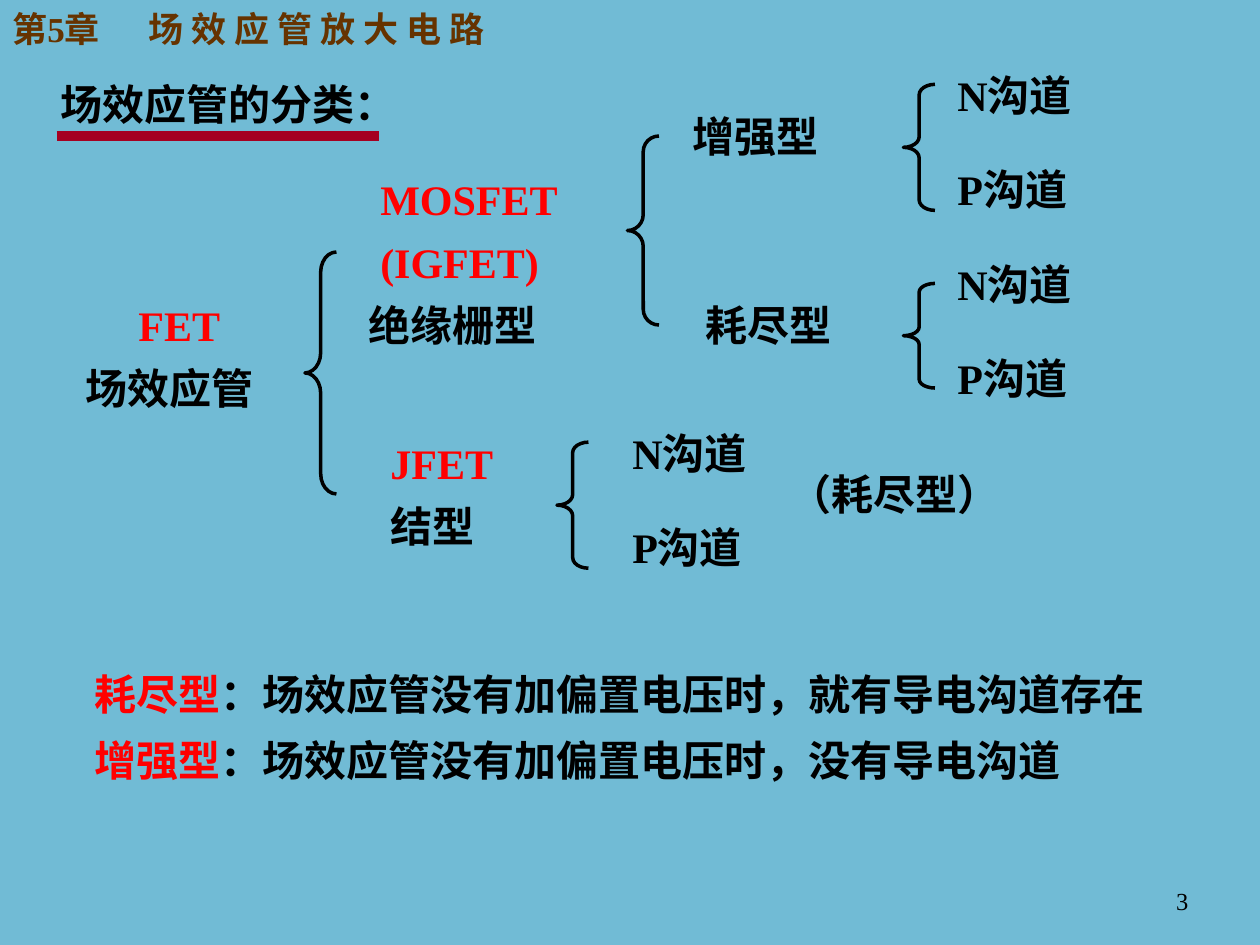
import pptx
import pptx.dml.color
import pptx.enum.shapes
import pptx.enum.text
import pptx.oxml.ns
import pptx.util
from lxml import etree

Inches = pptx.util.Inches
Pt = pptx.util.Pt
RGBColor = pptx.dml.color.RGBColor
qn = pptx.oxml.ns.qn

COLORS = {
    "background": "71BBD5",
    "black": "000000",
    "red": "FF0000",
    "brown": "663300",
    "underline": "A50021",
}
LABEL_FONT = {"name": "Times New Roman", "size": Pt(24), "bold": True}


def add_text(left, top, width, height, runs, line_spacing=1.2, **font_changes):
    """Add a one-paragraph text box; runs is a list of (text, colour name)."""
    shape = slide.shapes.add_textbox(Inches(left), Inches(top), Inches(width), Inches(height))
    shape.text_frame.word_wrap = True
    paragraph = shape.text_frame.paragraphs[0]
    paragraph.line_spacing = line_spacing
    for text, color in runs:
        run = paragraph.add_run()
        run.text = text
        for attribute, value in {**LABEL_FONT, **font_changes}.items():
            setattr(run.font, attribute, value)
        run.font.color.rgb = RGBColor.from_string(COLORS[color])
    return shape


presentation = pptx.Presentation()
presentation.slide_width = Inches(10)
presentation.slide_height = Inches(7.5)
slide = presentation.slides.add_slide(presentation.slide_layouts[6])
slide.background.fill.solid()
slide.background.fill.fore_color.rgb = RGBColor.from_string(COLORS["background"])

# Chapter title, with a tab between the number and the name
chapter = add_text(0, 0, 6.43, 0.44, [("第5章\t场 效 应 管 放 大 电 路", "brown")],
                   line_spacing=1.0, size=Pt(20))
chapter.text_frame.vertical_anchor = pptx.enum.text.MSO_ANCHOR.BOTTOM
properties = chapter.text_frame.paragraphs[0]._p.get_or_add_pPr()
tab_list = etree.SubElement(properties, qn("a:tabLst"))
etree.SubElement(tab_list, qn("a:tab"), pos=str(Inches(1.08)), algn="l")

# Heading and its underline
add_text(0.38, 0.49, 5.92, 0.58, [("场效应管的分类：", "black")])
underline = slide.shapes.add_connector(
    pptx.enum.shapes.MSO_CONNECTOR.STRAIGHT,
    Inches(0.45), Inches(1.08), Inches(3.01), Inches(1.08))
underline.line.width = Pt(6)
underline.line.color.rgb = RGBColor.from_string(COLORS["underline"])
etree.SubElement(underline._element.spPr, qn("a:effectLst"))

# Transistor types
for left, top, width, text, color in [
    (1, 2.25, 1.42, "FET", "red"),
    (0.58, 2.75, 1.92, "场效应管", "black"),
    (2.92, 1.25, 2.08, "MOSFET", "red"),
    (2.92, 1.75, 2, "(IGFET)", "red"),
    (2.83, 2.25, 2, "绝缘栅型", "black"),
    (3, 3.34, 1.42, "JFET", "red"),
    (3, 3.84, 1.42, "结型", "black"),
    (5.4, 0.75, 1.42, "增强型", "black"),
    (5.5, 2.25, 1.42, "耗尽型", "black"),
    (6.17, 3.59, 2.17, "（耗尽型）", "black"),
]:
    add_text(left, top, width, 0.58, [(text, color)])

# N and P channel pairs
for left, top in [(7.5, 0.42), (7.5, 1.92), (4.92, 3.26)]:
    for index, text in enumerate(["N沟道", "P沟道"]):
        add_text(left, top + index * 0.75, 1.42, 0.58, [(text, "black")])

# Braces: each curve takes a twelfth of the height
brace_width = 0.25
for left, top, height in [
    (2.42, 2, 1.92),
    (4.98, 1.08, 1.5),
    (7.17, 0.67, 1),
    (7.17, 2.25, 0.83),
    (4.42, 3.51, 1),
]:
    brace = slide.shapes.add_shape(
        pptx.enum.shapes.MSO_SHAPE.LEFT_BRACE,
        Inches(left), Inches(top), Inches(brace_width), Inches(height))
    brace.adjustments[0] = height / 12 / brace_width
    brace.shadow.inherit = False
    brace.fill.background()
    brace.line.width = Pt(2)
    brace.line.color.rgb = RGBColor.from_string(COLORS["black"])

# Definitions
for top, width, term, meaning in [
    (5.26, 8.6, "耗尽型", "：场效应管没有加偏置电压时，就有导电沟道存在"),
    (5.78, 8.1, "增强型", "：场效应管没有加偏置电压时，没有导电沟道"),
]:
    add_text(0.65, top, width, 0.5, [(term, "red"), (meaning, "black")], line_spacing=1.0)

# Page number
number = add_text(7.2, 6.98, 2.33, 0.52, [("3", "black")],
                  line_spacing=1.0, size=Pt(14), bold=False)
number.text_frame.paragraphs[0].alignment = pptx.enum.text.PP_ALIGN.RIGHT

presentation.save("out.pptx")
